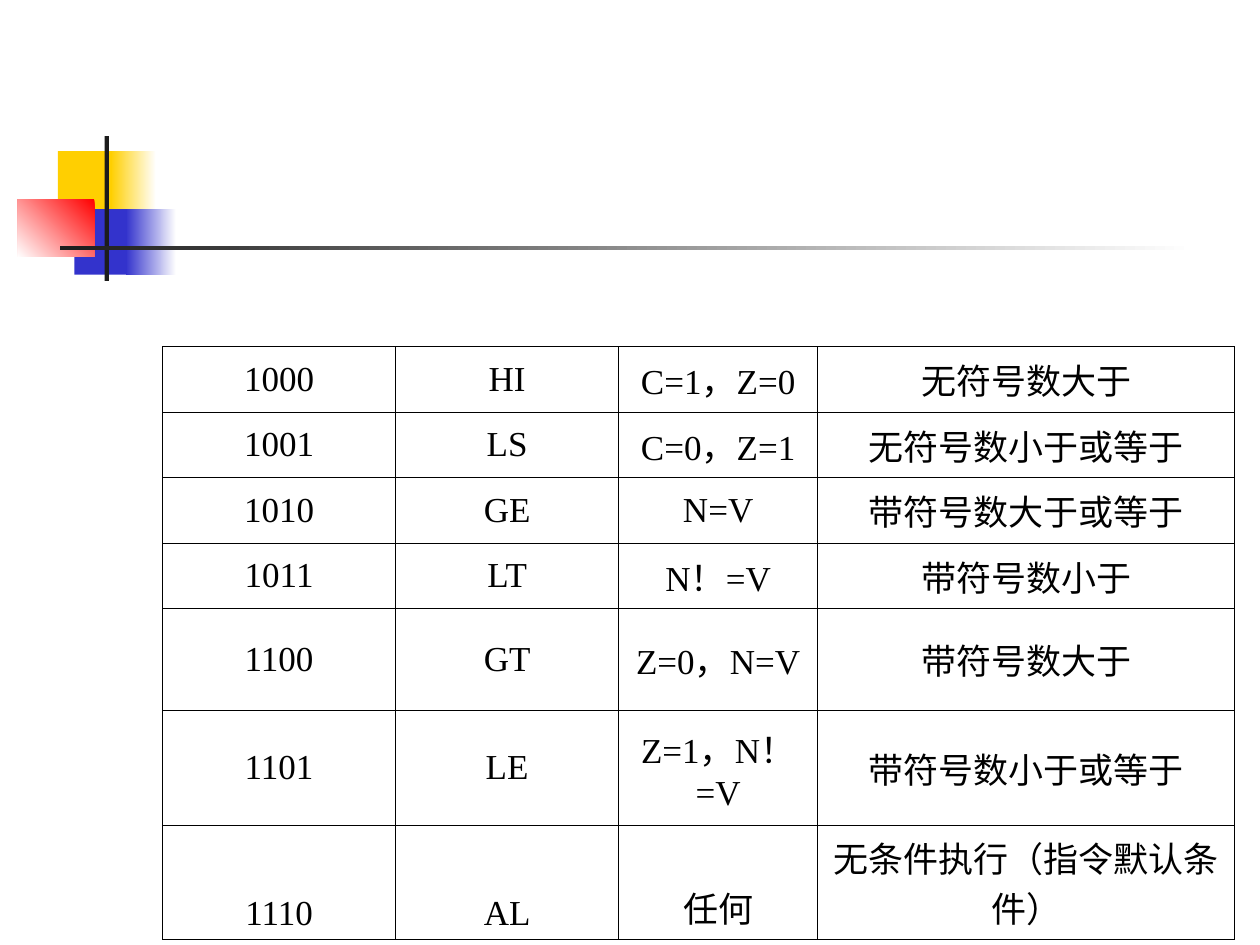
from lxml import etree
from pptx import Presentation
from pptx import util as u
from pptx.dml.color import RGBColor
from pptx.enum import shapes, text
from pptx.oxml.ns import qn

WHITE = RGBColor(0xFF, 0xFF, 0xFF)
BLACK = RGBColor(0x00, 0x00, 0x00)
YELLOW = RGBColor(0xFF, 0xCF, 0x01)
BLUE = RGBColor(0x33, 0x33, 0xCC)
RED = RGBColor(0xFF, 0x00, 0x00)
CHARCOAL = RGBColor(0x1C, 0x1C, 0x1C)

SLIDE_W, SLIDE_H = u.Inches(10), u.Inches(7.5)
FONT = "Times New Roman"

# Places and sizes are percentages of the slide's width and height
EMBLEM_ORIGIN = (1.4, 14.4)
TABLE_ORIGIN = (12.9, 36.67)
COLUMNS = (18.5, 17.7, 15.8, 33.1)
SHORT_ROW, TALL_ROW = 6.93, 10.27

CONDITIONS = [
    ("1000", "HI", "C=1，Z=0", "无符号数大于"),
    ("1001", "LS", "C=0，Z=1", "无符号数小于或等于"),
    ("1010", "GE", "N=V", "带符号数大于或等于"),
    ("1011", "LT", "N！=V", "带符号数小于"),
    ("1100", "GT", "Z=0，N=V", "带符号数大于"),
    ("1101", "LE", "Z=1，N！=V", "带符号数小于或等于"),
    ("1110", "AL", "任何", "无条件执行（指令默认条件）"),
]
SHORT_ROWS = 4


def across(share):
    return round(SLIDE_W * share / 100)


def down(share):
    return round(SLIDE_H * share / 100)


def add_block(slide, origin, box, colors, angle=180):
    """Borderless rectangle: one colour is solid, two make a gradient."""
    x, y, width, height = box
    block = slide.shapes.add_shape(
        shapes.MSO_SHAPE.RECTANGLE, across(origin[0] + x), down(origin[1] + y),
        across(width), down(height))
    block.shadow.inherit = False
    block.line.fill.background()
    if len(colors) == 1:
        block.fill.solid()
        block.fill.fore_color.rgb = colors[0]
        return
    block.fill.gradient()
    block.fill.gradient_angle = angle
    for stop, position, color in zip(block.fill.gradient_stops, (0, 1), colors):
        stop.position = position
        stop.color.rgb = color


def add_emblem(slide, origin):
    # Yellow and blue squares, each fading out to the right
    for color, x, y, width, fade_x, fade_width in (
            (YELLOW, 3.2, 1.6, 4.8, 7.4, 3.6),
            (BLUE, 4.5, 7.73, 4.6, 8.6, 4)):
        add_block(slide, origin, (x, y, width, 6.93), [color])
        add_block(slide, origin, (fade_x, y, fade_width, 6.93), [WHITE, color])
    # Red square, fading towards its lower left corner
    add_block(slide, origin, (0, 6.67, 6.1, 6.13), [RED, WHITE], angle=225)
    # Crossing bars
    add_block(slide, origin, (6.9, 0, 0.35, 15.33), [CHARCOAL])
    add_block(slide, origin, (3.4, 11.6, 90, 0.45), [WHITE, CHARCOAL])


def add_borders(cell):
    properties = cell._tc.get_or_add_tcPr()
    for side in ("lnL", "lnR", "lnT", "lnB"):
        border = etree.SubElement(properties, qn(f"a:{side}"),
                                  w=str(u.Pt(0.45)))
        fill = etree.SubElement(border, qn("a:solidFill"))
        etree.SubElement(fill, qn("a:srgbClr"), val=str(BLACK))


def fill_cell(cell, wording, anchor):
    add_borders(cell)
    cell.fill.background()
    cell.vertical_anchor = anchor
    cell.text_frame.text = wording
    paragraph = cell.text_frame.paragraphs[0]
    paragraph.alignment = text.PP_ALIGN.CENTER
    font = paragraph.runs[0].font
    font.name, font.size = FONT, u.Pt(20)
    font.color.rgb = BLACK


def add_condition_table(slide, origin):
    heights = [SHORT_ROW if i < SHORT_ROWS else TALL_ROW
               for i in range(len(CONDITIONS))]
    table = slide.shapes.add_table(
        len(CONDITIONS), len(COLUMNS), across(origin[0]), down(origin[1]),
        across(sum(COLUMNS)), down(sum(heights))).table
    table.first_row = table.horz_banding = False
    for column, width in zip(table.columns, COLUMNS):
        column.width = across(width)
    for row, height, condition in zip(table.rows, heights, CONDITIONS):
        row.height = down(height)
        # The last condition sits at the bottom of its row
        anchor = (text.MSO_ANCHOR.BOTTOM if condition is CONDITIONS[-1]
                  else text.MSO_ANCHOR.MIDDLE)
        for cell, wording in zip(row.cells, condition):
            fill_cell(cell, wording, anchor)


def main():
    deck = Presentation()
    deck.slide_width, deck.slide_height = SLIDE_W, SLIDE_H
    slide = deck.slides.add_slide(deck.slide_layouts[6])
    add_emblem(slide, EMBLEM_ORIGIN)
    add_condition_table(slide, TABLE_ORIGIN)
    deck.save("out.pptx")


if __name__ == "__main__":
    main()
